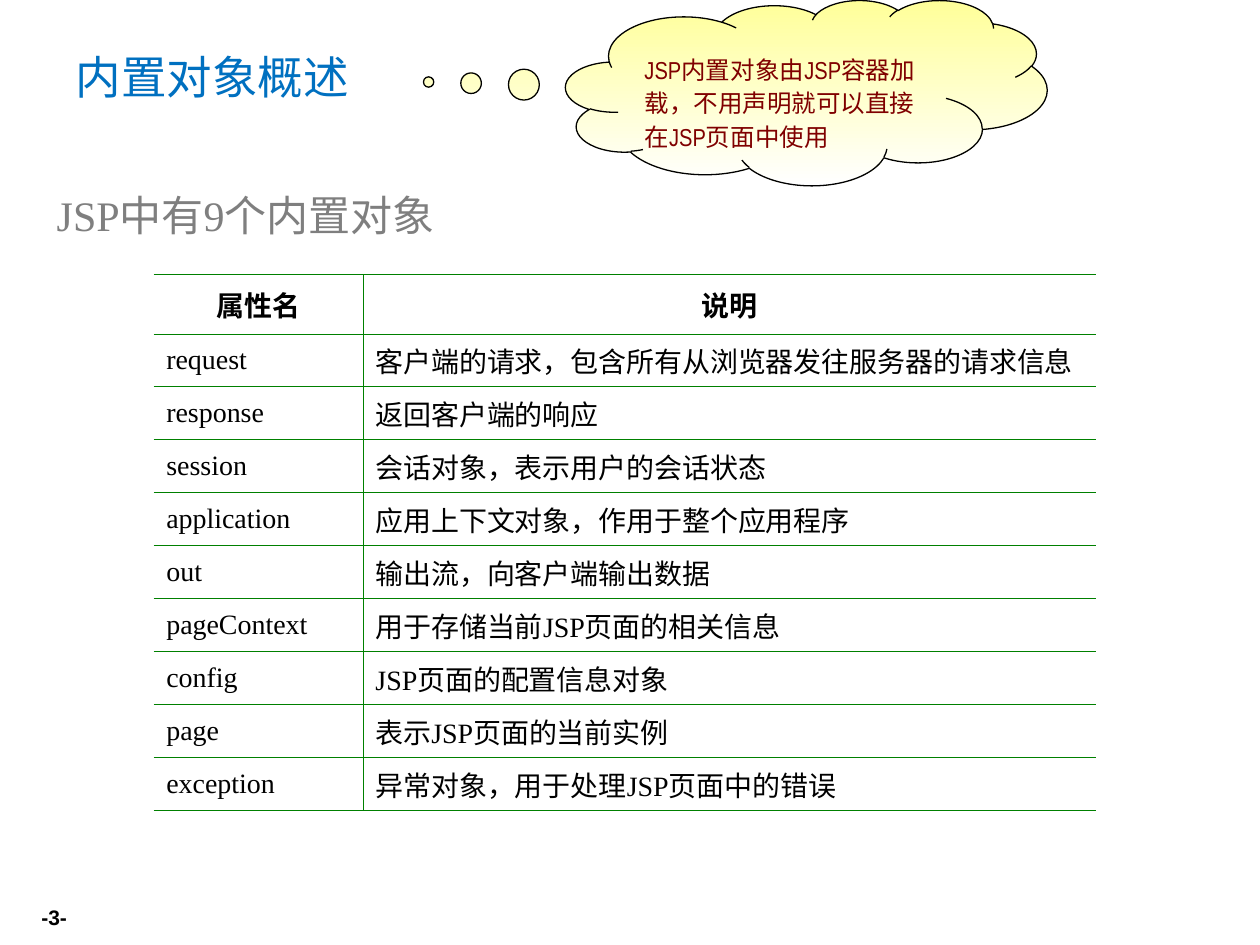
from typing import NamedTuple

from lxml import etree
from pptx import Presentation
from pptx.dml.color import RGBColor
from pptx.enum.shapes import MSO_SHAPE
from pptx.enum.text import MSO_ANCHOR, PP_ALIGN
from pptx.oxml.ns import qn
from pptx.util import Inches, Pt

LEFT, CENTER, RIGHT = PP_ALIGN.LEFT, PP_ALIGN.CENTER, PP_ALIGN.RIGHT
TOP, MIDDLE = MSO_ANCHOR.TOP, MSO_ANCHOR.MIDDLE
CLOUD = MSO_SHAPE.CLOUD_CALLOUT
CJK, SERIF = "Noto Sans CJK SC", "Times New Roman"
GREEN = "008000"
THIN, OUTER = 0.45, 0.75


class BuiltIn(NamedTuple):
    name: str
    meaning: str


HEADER = BuiltIn("属性名", "说明")
OBJECTS = [
    BuiltIn("request", "客户端的请求，包含所有从浏览器发往服务器的请求信息"),
    BuiltIn("response", "返回客户端的响应"),
    BuiltIn("session", "会话对象，表示用户的会话状态"),
    BuiltIn("application", "应用上下文对象，作用于整个应用程序"),
    BuiltIn("out", "输出流，向客户端输出数据"),
    BuiltIn("pageContext", "用于存储当前JSP页面的相关信息"),
    BuiltIn("config", "JSP页面的配置信息对象"),
    BuiltIn("page", "表示JSP页面的当前实例"),
    BuiltIn("exception", "异常对象，用于处理JSP页面中的错误"),
]


def rgb(color: str) -> RGBColor:
    return RGBColor.from_string(color)


def place(sp, left: float, top: float, width: float, height: float) -> None:
    sp.left, sp.top = Inches(left), Inches(top)
    sp.width, sp.height = Inches(width), Inches(height)


def write(tf, text: str, size: float, color: str, font: str,
          align=LEFT, bold: bool = False, anchor=MIDDLE):
    """Fill a text frame with one formatted paragraph and return it."""
    tf.text = text
    tf.word_wrap = True
    tf.vertical_anchor = anchor
    p = tf.paragraphs[0]
    p.alignment = align
    p.space_before = Pt(0)
    for r in p.runs:
        r.font.size, r.font.bold = Pt(size), bold
        r.font.name, r.font.color.rgb = font, rgb(color)
        ea = etree.SubElement(r.font._element, qn("a:ea"))
        ea.set("typeface", CJK)
    return p


def set_border(cell, side: str, width: float) -> None:
    """Draw one cell edge; a width of zero hides it."""
    ln = etree.SubElement(cell._tc.get_or_add_tcPr(), qn(f"a:ln{side}"))
    ln.set("w", str(Pt(width)))
    if not width:
        etree.SubElement(ln, qn("a:noFill"))
        return
    fill = etree.SubElement(ln, qn("a:solidFill"))
    etree.SubElement(fill, qn("a:srgbClr")).set("val", GREEN)


def add_object_table(s, rows: list[BuiltIn]) -> None:
    frame = s.shapes.add_table(len(rows), 2, Inches(1.22), Inches(2.18),
                               Inches(7.48), Inches(3.89))
    table = frame.table
    table.first_row = table.horz_banding = False
    for column, width in zip(table.columns, (1.66, 5.82)):
        column.width = Inches(width)
    last = len(rows) - 1
    for i, row in enumerate(rows):
        head = i == 0
        table.rows[i].height = Inches(0.47 if head else 0.38)
        for j, text in enumerate(row):
            cell = table.cell(i, j)
            write(cell.text_frame, text, 16, "000000", SERIF,
                  CENTER if head else LEFT, head)
            cell.vertical_anchor = MIDDLE
            set_border(cell, "L", THIN if j else 0)
            set_border(cell, "R", 0 if j else THIN)
            set_border(cell, "T", OUTER if head else THIN)
            set_border(cell, "B", OUTER if i == last else THIN)
            cell.fill.background()


def add_cloud(s, text: str) -> None:
    sp = s.shapes.add_shape(CLOUD, Inches(4.49), 0, Inches(3.82), Inches(1.47))
    sp.shadow.inherit = False
    sp.adjustments[0], sp.adjustments[1] = -0.785, -0.057
    sp.fill.gradient()
    sp.fill.gradient_angle = 270
    for stop, color in zip(sp.fill.gradient_stops, ("FFFF99", "FFFFFF")):
        stop.color.rgb = rgb(color)
    sp.line.color.rgb = rgb("000000")
    sp.line.width = Pt(0.75)
    p = write(sp.text_frame, text, 14, "800000", "Arial Narrow", anchor=TOP)
    p.line_spacing = Pt(19.2)
    sp.text_frame.margin_top = Inches(0.18)


def main() -> None:
    prs = Presentation()
    prs.slide_width, prs.slide_height = Inches(10), Inches(7.5)
    s = prs.slides.add_slide(prs.slide_layouts[1])

    title, body = s.placeholders
    place(title, 0.5, 0.3, 9, 0.61)
    write(title.text_frame, "内置对象概述", 26, "0070C0", CJK)

    place(body, 0.35, 1.45, 9.3, 0.6)
    p = write(body.text_frame, "JSP中有9个内置对象", 24, "7F7F7F", SERIF, anchor=TOP)
    pPr = p._p.get_or_add_pPr()
    pPr.set("marL", "0")
    pPr.set("indent", "0")
    etree.SubElement(pPr, qn("a:buNone"))

    add_object_table(s, [HEADER, *OBJECTS])

    number = s.shapes.add_textbox(Inches(0.16), Inches(7.13), Inches(0.47), Inches(0.29))
    write(number.text_frame, "-3-", 12, "000000", "Arial", RIGHT, True)

    add_cloud(s, "JSP内置对象由JSP容器加载，不用声明就可以直接在JSP页面中使用")
    prs.save("out.pptx")


if __name__ == "__main__":
    main()
